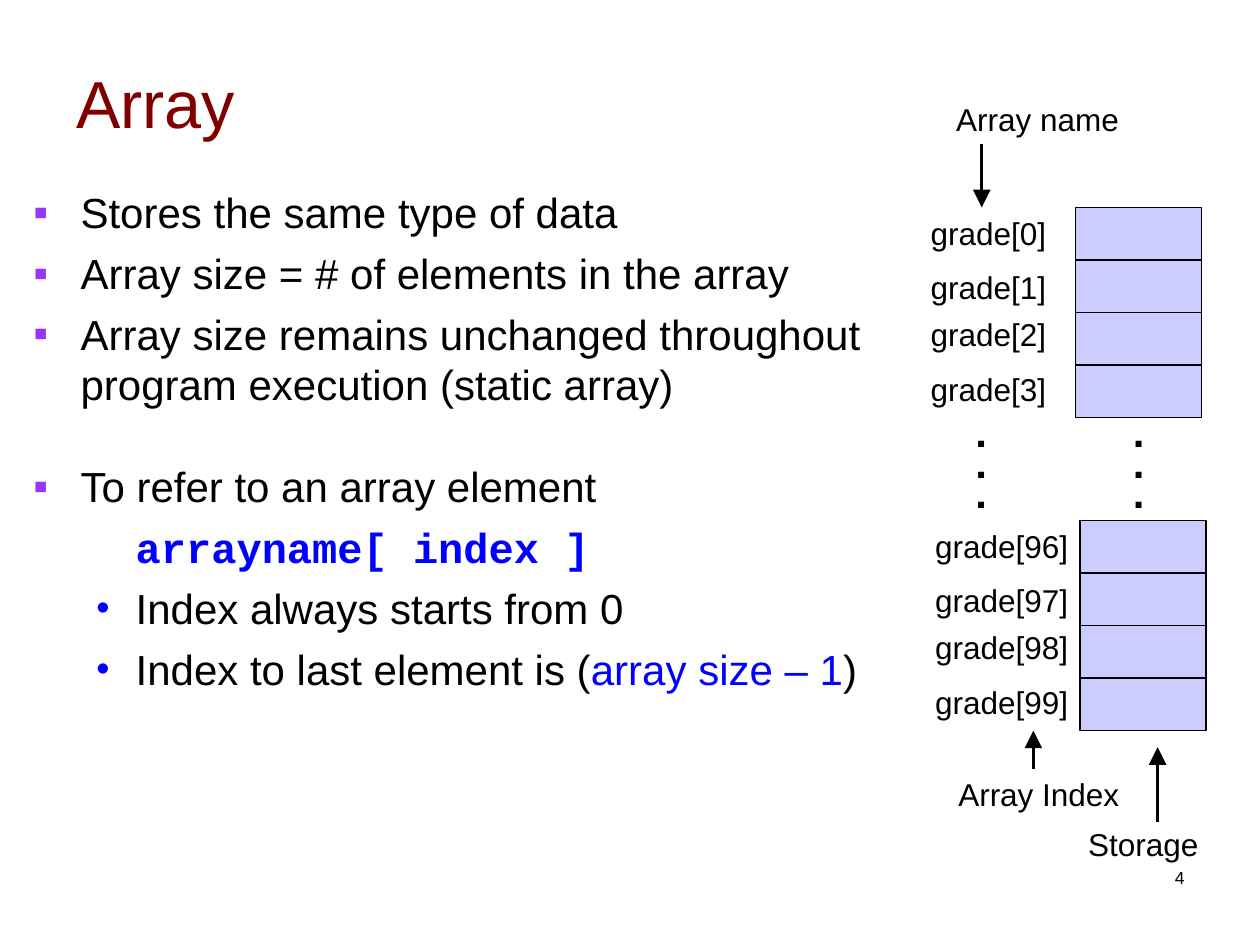
from lxml import etree
from pptx import Presentation
from pptx.dml.color import RGBColor
from pptx.enum import shapes, text
from pptx.oxml import ns
from pptx.util import Pt

BLACK = RGBColor(0x00, 0x00, 0x00)
MAROON = RGBColor(0x80, 0x00, 0x00)
BLUE = RGBColor(0x00, 0x00, 0xFF)
PURPLE = RGBColor(0x99, 0x33, 0xFF)
LILAC = RGBColor(0xCC, 0xCC, 0xFF)

# Bullet styles: character, colour, size in percent
SQUARE = ("▪", PURPLE, 100)
DOT = ("•", BLUE, 90)


def add_xml(parent, tag, **attrs):
    return etree.SubElement(parent, ns.qn(tag), attrs)


class ArraySlide:
    """Holds the text style and the slide being drawn."""

    style = {"name": "Arial", "size": Pt(18), "bold": False}

    def __init__(self, prs):
        self.s = prs.slides.add_slide(prs.slide_layouts[6])

    def box(self, x, y, w, h, wrap=True, anchor=text.MSO_ANCHOR.TOP):
        tf = self.s.shapes.add_textbox(Pt(x), Pt(y), Pt(w), Pt(h)).text_frame
        fmt = {"word_wrap": wrap, "vertical_anchor": anchor}
        if not wrap:
            fmt["auto_size"] = text.MSO_AUTO_SIZE.SHAPE_TO_FIT_TEXT
        for key, value in fmt.items():
            setattr(tf, key, value)
        return tf

    def run(self, p, words, color=BLACK, **fmt):
        r = p.add_run()
        r.text = words
        for key, value in {**self.style, **fmt}.items():
            setattr(r.font, key, value)
        r.font.color.rgb = color

    def label(self, words, x, y, w, h=28.8, wrap=False, color=BLACK,
              anchor=text.MSO_ANCHOR.TOP, align=text.PP_ALIGN.LEFT, **fmt):
        p = self.box(x, y, w, h, wrap, anchor).paragraphs[0]
        p.alignment = align
        self.run(p, words, color, **fmt)

    def bullets(self, items, x, y, w, h):
        tf = self.box(x, y, w, h)
        for i, (bullet, left, hang, before, runs) in enumerate(items):
            p = tf.add_paragraph() if i else tf.paragraphs[0]
            pPr = p._p.get_or_add_pPr()
            pPr.set("marL", str(Pt(left)))
            pPr.set("indent", str(Pt(-hang)))
            if bullet:
                char, color, percent = bullet
                add_xml(add_xml(pPr, "a:buClr"), "a:srgbClr", val=str(color))
                add_xml(pPr, "a:buSzPct", val=str(percent * 1000))
                add_xml(pPr, "a:buFont", typeface="Arial")
                add_xml(pPr, "a:buChar", char=char)
            p.space_before = Pt(before)
            for words, fmt in runs:
                self.run(p, words, **{"size": Pt(24), **fmt})

    def cell(self, x, y, w, h):
        sp = self.s.shapes.add_shape(shapes.MSO_SHAPE.RECTANGLE, Pt(x), Pt(y), Pt(w), Pt(h))
        sp.shadow.inherit = False
        sp.fill.solid()
        sp.fill.fore_color.rgb = LILAC
        sp.line.color.rgb = BLACK
        sp.line.width = Pt(0.75)

    def dots(self, x, y):
        tf = self.box(x, y, 21, 59, wrap=False)
        for i in range(3):
            p = tf.add_paragraph() if i else tf.paragraphs[0]
            p.line_spacing = 0.6
            self.run(p, ".", size=Pt(24), bold=True)

    def arrow(self, x, start, end):
        line = self.s.shapes.add_connector(
            shapes.MSO_CONNECTOR.STRAIGHT, Pt(x), Pt(start), Pt(x), Pt(end))
        line.line.color.rgb = BLACK
        line.line.width = Pt(2)
        add_xml(line.line._get_or_add_ln(), "a:tailEnd", type="triangle", w="lg", len="lg")
        add_xml(line._element.spPr, "a:effectLst")

    def cells(self, first, label_x, label_w, cell_x, top):
        """Four storage cells with their element names."""
        for i, offset in enumerate((0, 31.2, 58, 89.2)):
            self.cell(cell_x, top + 30 * i, 72, 30)
            self.label(f"grade[{first + i}]", label_x, top + offset, label_w)


def main():
    prs = Presentation()
    prs.slide_width, prs.slide_height = Pt(720), Pt(540)
    s = ArraySlide(prs)

    # Title
    s.label("Array", 36.5, 13, 648, 90, wrap=True, color=MAROON,
            anchor=text.MSO_ANCHOR.MIDDLE, size=Pt(38))

    # Main points: bullet, left indent, hanging indent, space before, runs
    code = {"name": "Courier New", "bold": True, "color": BLUE}
    s.bullets([
        (SQUARE, 27, 27, 0, [("Stores the same type of data", {})]),
        (SQUARE, 27, 27, 6, [("Array size = # of elements in the array", {})]),
        (SQUARE, 27, 27, 6, [("Array size remains unchanged throughout "
                              "program execution (static array)", {})]),
        (SQUARE, 27, 27, 29.5, [("To refer to an array element", {})]),
        (None, 58.5, 0, 6, [("arrayname[ index ]", code)]),
        (DOT, 58.5, 22.5, 6, [("Index always starts from 0", {})]),
        (DOT, 58.5, 22.5, 6, [("Index to last element is (", {}),
                              ("array size – 1", {"color": BLUE}), (")", {})]),
    ], 12, 103, 513, 379)

    # Array diagram
    s.cells(0, 524.7, 82, 614.5, 118.6)
    s.cells(96, 527.3, 92, 617.2, 297.5)
    for x in (640.2, 550.2):
        s.dots(x, 238.5)

    # Callouts
    s.label("Array name", 539.3, 53.6, 108)
    s.arrow(561, 82.5, 118.5)
    s.label("Array Index", 540.5, 439.5, 107)
    s.arrow(590.5, 439.5, 417.5)
    s.label("Storage", 614.7, 468, 81.5, wrap=True)
    s.arrow(661.5, 469.5, 427)

    # Page number
    s.label("4", 516, 492, 168, 36, wrap=True, align=text.PP_ALIGN.RIGHT, size=Pt(10))

    prs.save("out.pptx")


if __name__ == "__main__":
    main()
